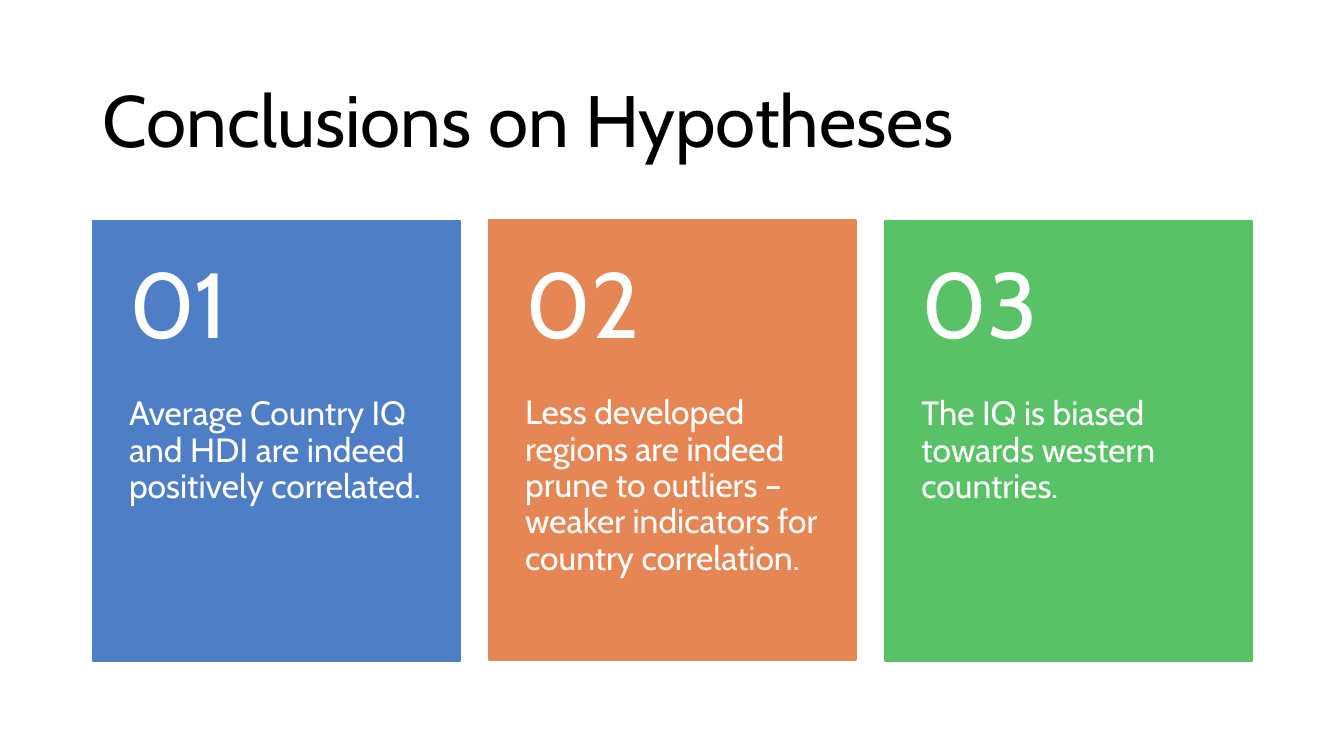
from dataclasses import dataclass

from pptx import Presentation
from pptx.dml.color import RGBColor
from pptx.enum.shapes import MSO_SHAPE
from pptx.enum.text import MSO_ANCHOR, PP_ALIGN
from pptx.util import Inches, Pt

TITLE = "Conclusions on Hypotheses"
CONCLUSIONS = [
    ("01", "Average Country IQ and HDI are indeed positively correlated.", "4E7EC5", 0),
    ("02", "Less developed regions are indeed prune to outliers – "
           "weaker indicators for country correlation.", "E68655", -0.01),
    ("03", "The IQ is biased towards western countries.", "59C267", 0),
]


@dataclass(frozen=True)
class Theme:
    font: str = "Cabin"
    ink: str = "000000"
    paper: str = "FFFFFF"
    title_size: int = 52
    number_size: int = 66
    body_size: int = 24
    border: float = 1.5
    line_spacing: float = 0.9


THEME = Theme()
SLIDE_WIDTH, SLIDE_HEIGHT = 13.33, 7.5
MARGIN = 0.92
CONTENT_WIDTH = 11.5
TITLE_TOP, TITLE_HEIGHT = 0.61, 1.24
CARD_TOP, CARD_WIDTH, CARD_HEIGHT = 2.19, 3.64, 4.37
CARD_STEP = (CONTENT_WIDTH - CARD_WIDTH) / (len(CONCLUSIONS) - 1)
NUMBER_HEIGHT = CARD_HEIGHT * 0.4
BODY_HEIGHT = CARD_HEIGHT - NUMBER_HEIGHT
PAD = 0.36


def add_text(page, words, area, size, color, anchor, insets):
    box = page.shapes.add_textbox(*map(Inches, area))
    frame = box.text_frame
    frame.word_wrap = True
    frame.vertical_anchor = anchor
    (frame.margin_left, frame.margin_top,
     frame.margin_right, frame.margin_bottom) = map(Inches, insets)
    para = frame.paragraphs[0]
    para.alignment = PP_ALIGN.LEFT
    para.line_spacing = THEME.line_spacing
    span = para.add_run()
    span.text = words
    span.font.name = THEME.font
    span.font.size = Pt(size)
    span.font.color.rgb = RGBColor.from_string(color)


def add_card(page, column, number, body, color, shift):
    left, top = MARGIN + column * CARD_STEP, CARD_TOP + shift
    card = page.shapes.add_shape(
        MSO_SHAPE.RECTANGLE, *map(Inches, (left, top, CARD_WIDTH, CARD_HEIGHT)))
    card.shadow.inherit = False
    card.fill.solid()
    card.fill.fore_color.rgb = RGBColor.from_string(color)
    card.line.color.rgb = RGBColor.from_string(color)
    card.line.width = Pt(THEME.border)
    add_text(page, body, (left, top + NUMBER_HEIGHT, CARD_WIDTH, BODY_HEIGHT),
             THEME.body_size, THEME.paper, MSO_ANCHOR.TOP, (PAD, 0, PAD, PAD))
    add_text(page, number, (left, CARD_TOP, CARD_WIDTH, NUMBER_HEIGHT),
             THEME.number_size, THEME.paper, MSO_ANCHOR.MIDDLE,
             (PAD, PAD / 2, PAD, PAD / 2))


def main():
    deck = Presentation()
    deck.slide_width, deck.slide_height = Inches(SLIDE_WIDTH), Inches(SLIDE_HEIGHT)
    page = deck.slides.add_slide(deck.slide_layouts[6])
    page.background.fill.solid()
    page.background.fill.fore_color.rgb = RGBColor.from_string(THEME.paper)
    add_text(page, TITLE, (MARGIN, TITLE_TOP, CONTENT_WIDTH, TITLE_HEIGHT),
             THEME.title_size, THEME.ink, MSO_ANCHOR.MIDDLE, (0.1, 0.05, 0.1, 0.05))
    for column, conclusion in enumerate(CONCLUSIONS):
        add_card(page, column, *conclusion)
    deck.save("out.pptx")


if __name__ == "__main__":
    main()
